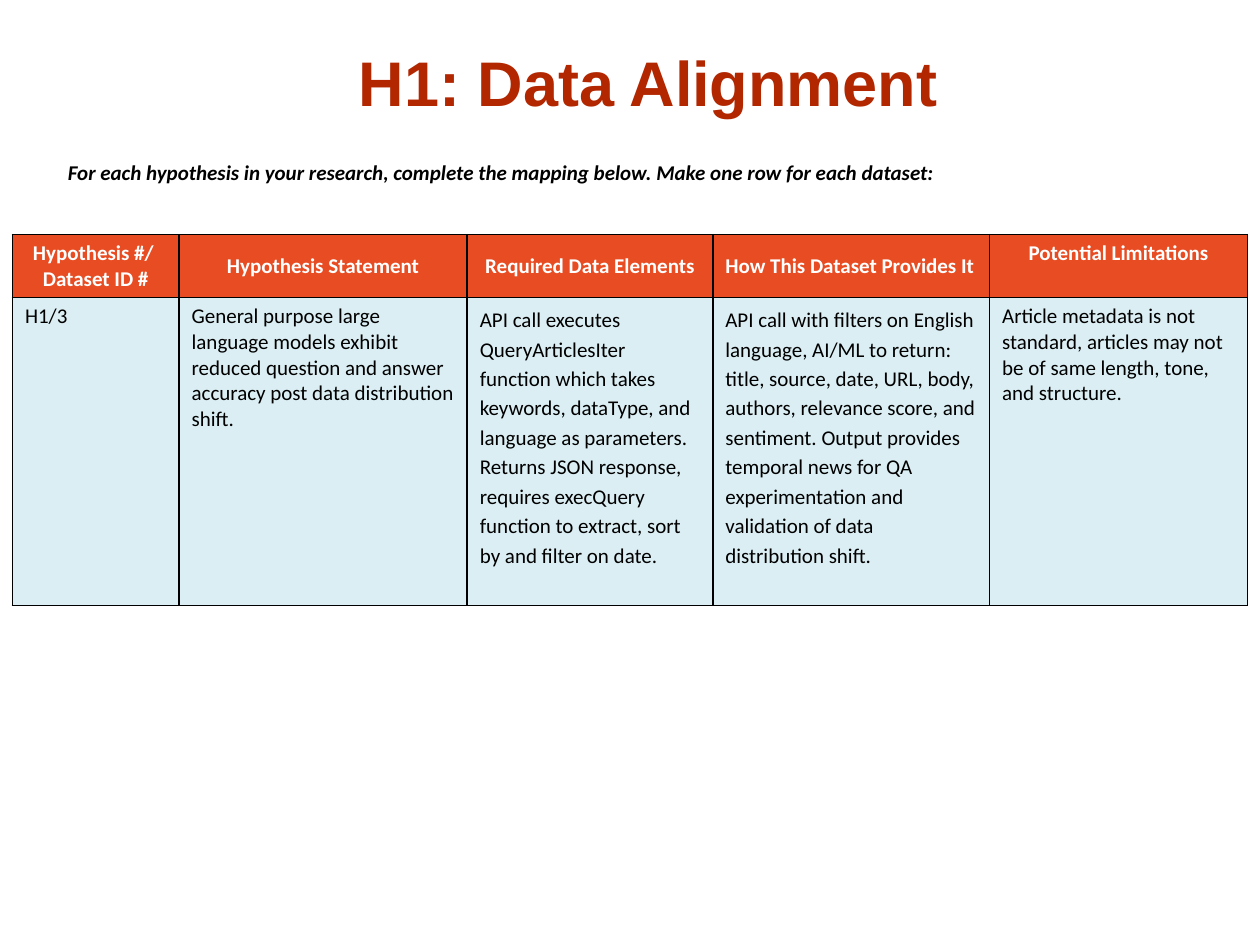
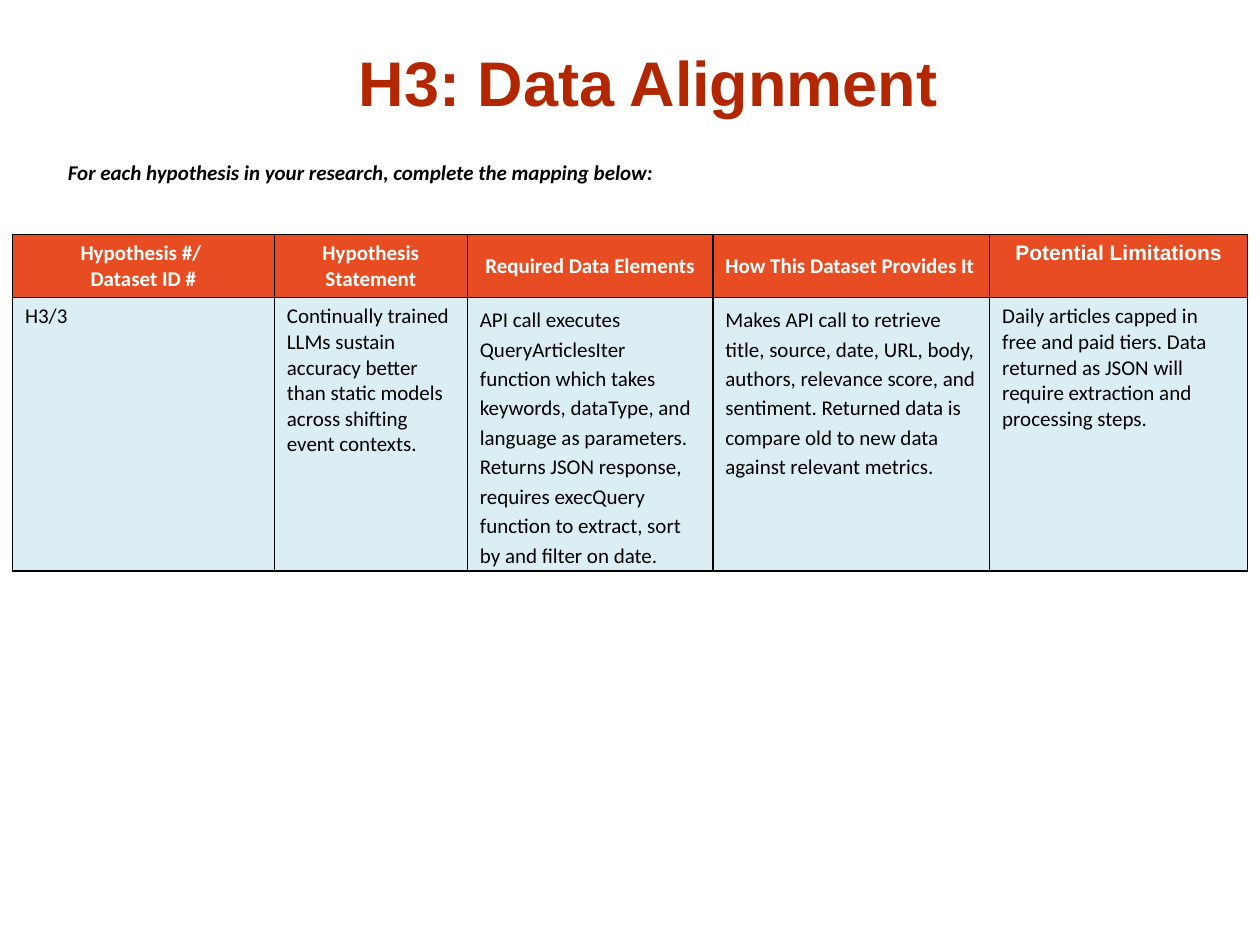
from lxml import etree
from pptx import Presentation
from pptx import util as u
from pptx.dml.color import RGBColor
from pptx.enum import text
from pptx.oxml.ns import qn

TITLE_RED, HEADER_ORANGE, CELL_BLUE = "B22600", "E84C22", "4BACC6"
BLACK, WHITE = "000000", "FFFFFF"
LEFT, CENTER = text.PP_ALIGN.LEFT, text.PP_ALIGN.CENTER
TOP, MIDDLE = text.MSO_ANCHOR.TOP, text.MSO_ANCHOR.MIDDLE

HEADERS = ["Hypothesis #/ \nDataset ID #", "Hypothesis Statement",
           "Required Data Elements", "How This Dataset Provides It",
           "Potential Limitations"]
SHARED_WIDTHS = [4.95, 5.58, 5.2]
LOOSE_COLUMNS = (2, 3)
REQUIRED_DATA = ("API call executes QueryArticlesIter function which takes keywords, "
                 "dataType, and language as parameters. Returns JSON response, requires "
                 "execQuery function to extract, sort by and filter on date.")


def color(hex_code):
    return RGBColor.from_string(hex_code)


class Deck:
    """Holds the text style and the current slide."""

    def __init__(self):
        self.prs = Presentation()
        self.prs.slide_width, self.prs.slide_height = u.Cm(25.4), u.Cm(19.05)

    def add_slide(self):
        self.s = self.prs.slides.add_slide(self.prs.slide_layouts[6])

    def set_text(self, tf, words, size=12, font="Calibri", fill=BLACK, bold=False,
                 italic=False, align=LEFT, spacing=None):
        """Fill a text frame, one paragraph for each line of words."""
        tf.word_wrap = True
        tf.text = words
        for p in tf.paragraphs:
            p.alignment, p.line_spacing = align, spacing
            f = p.font
            f.size, f.name, f.bold, f.italic = u.Pt(size), font, bold, italic
            f.color.rgb = color(fill)

    def textbox(self, left, top, width, height, words, anchor=TOP, **style):
        box = self.s.shapes.add_textbox(*map(u.Cm, (left, top, width, height)))
        self.set_text(box.text_frame, words, **style)
        box.text_frame.vertical_anchor = anchor

    def title(self, words):
        self.textbox(1.12, 0.74, 23.9, 1.8, words, MIDDLE, size=36, font="Arial",
                     fill=TITLE_RED, bold=True, align=CENTER)

    def instruction(self, words):
        self.textbox(1.12, 3.1, 22.5, 0.76, words, bold=True, italic=True)

    def paint(self, cell, fill, alpha=None):
        """Fill a cell, with alpha in percent, and draw its black borders."""
        cell.fill.solid()
        cell.fill.fore_color.rgb = color(fill)
        tc_pr = cell._tc.get_or_add_tcPr()
        if alpha:
            rgb = tc_pr.find(".//" + qn("a:srgbClr"))
            etree.SubElement(rgb, qn("a:alpha"), val=str(alpha * 1000))
        for i, side in enumerate("LRTB"):
            ln = etree.Element(qn("a:ln" + side), w=str(u.Pt(1)))
            solid = etree.SubElement(ln, qn("a:solidFill"))
            etree.SubElement(solid, qn("a:srgbClr"), val=BLACK)
            tc_pr.insert(i, ln)

    def mapping_table(self, first_widths, body_height, values, last_header_font):
        widths, heights = first_widths + SHARED_WIDTHS, [1.27, body_height]
        frame = self.s.shapes.add_table(2, len(widths), u.Cm(0.25), u.Cm(4.73),
                                        u.Cm(sum(widths)), u.Cm(sum(heights)))
        table = frame.table
        table.first_row = table.horz_banding = False
        for row, height in zip(table.rows, heights):
            row.height = u.Cm(height)
        last = len(widths) - 1
        for i, (width, header, value) in enumerate(zip(widths, HEADERS, values)):
            table.columns[i].width = u.Cm(width)
            head, body = table.cell(0, i), table.cell(1, i)
            self.set_text(head.text_frame, header, fill=WHITE, bold=True,
                          font=last_header_font if i == last else "Calibri",
                          align=LEFT if i == 3 else CENTER)
            head.vertical_anchor = TOP if i == last else MIDDLE
            self.paint(head, HEADER_ORANGE)
            self.set_text(body.text_frame, value,
                          spacing=1.15 if i in LOOSE_COLUMNS else None)
            self.paint(body, CELL_BLUE, alpha=20)


def main():
    deck = Deck()

    deck.add_slide()
    deck.title("H1: Data Alignment")
    deck.mapping_table([3.36, 5.81], 6.2, [
        "H1/3",
        "General purpose large language models exhibit reduced question and answer "
        "accuracy post data distribution shift.",
        REQUIRED_DATA,
        "API call with filters on English language, AI/ML to return: title, source, "
        "date, URL, body, authors, relevance score, and sentiment. Output provides "
        "temporal news for QA experimentation and validation of data distribution shift.",
        "Article metadata is not standard, articles may not be of same length, tone, "
        "and structure."], "Calibri")
    deck.instruction("For each hypothesis in your research, complete the mapping below. "
                     "Make one row for each dataset:")

    deck.add_slide()
    deck.title("H3: Data Alignment")
    deck.instruction("For each hypothesis in your research, complete the mapping below:")
    deck.mapping_table([5.28, 3.89], 5.5, [
        "H3/3",
        "Continually trained LLMs sustain accuracy better than static models across "
        "shifting event contexts.",
        REQUIRED_DATA,
        "Makes API call to retrieve title, source, date, URL, body, authors, relevance "
        "score, and sentiment. Returned data is compare old to new data against "
        "relevant metrics.",
        "Daily articles capped in free and paid tiers. Data returned as JSON will "
        "require extraction and processing steps."], "Arial")

    deck.prs.save("out.pptx")


if __name__ == "__main__":
    main()
